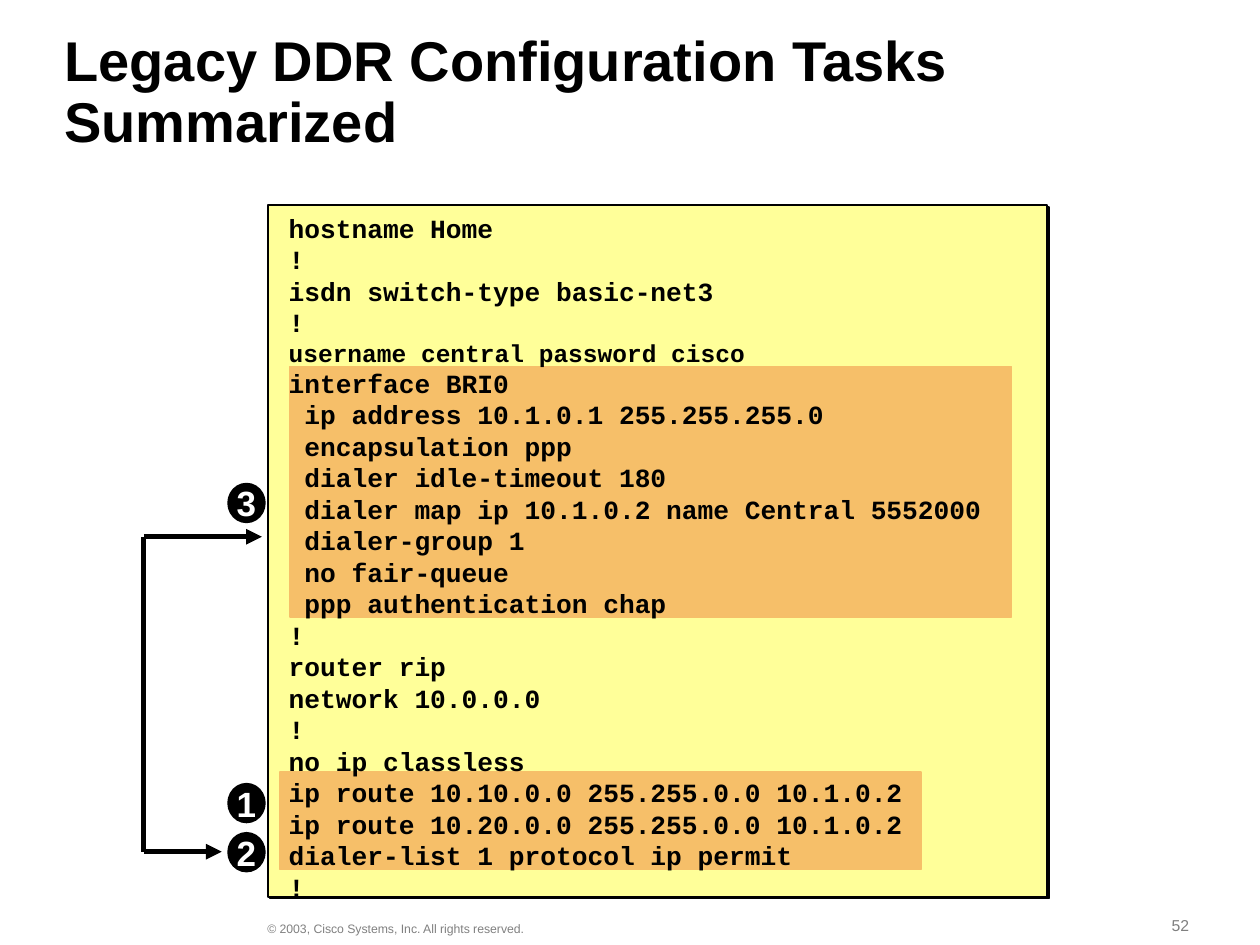
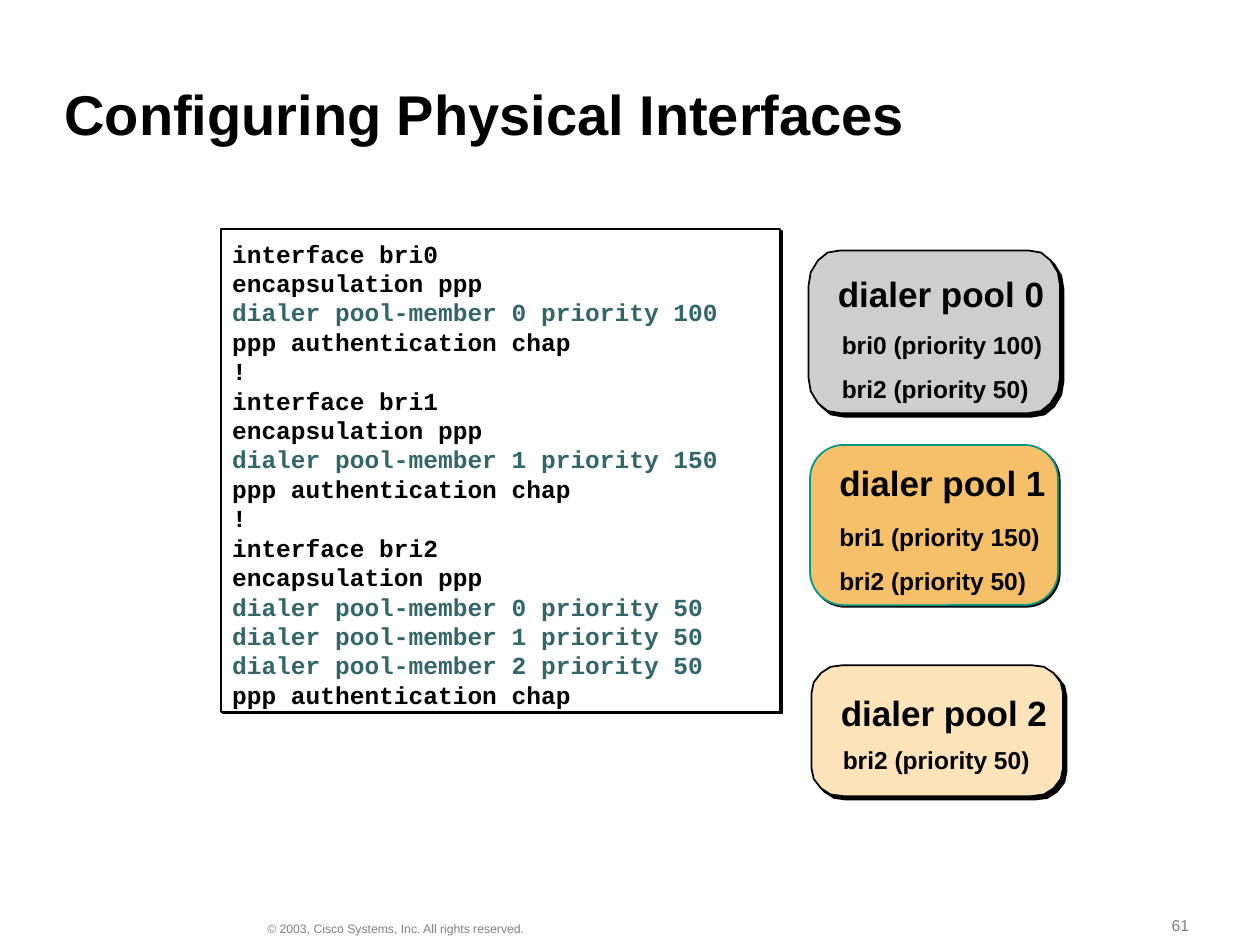
from dataclasses import dataclass

from lxml import etree
from pptx import Presentation
from pptx import util as u
from pptx.dml.color import RGBColor
from pptx.enum import shapes, text
from pptx.oxml.ns import qn

Cm, Pt = u.Cm, u.Pt


@dataclass(frozen=True)
class Theme:
    black: str = "000000"
    white: str = "FFFFFF"
    grey: str = "808080"
    teal: str = "336666"
    teal_line: str = "009688"
    yellow: str = "FFFF99"
    orange: str = "F6BF69"
    silver: str = "CECECE"
    cream: str = "FDE3BA"
    sans: str = "Arial"
    mono: str = "Courier New"
    title: int = 32
    heading: int = 20
    config: int = 15
    body: int = 14
    number: int = 9
    legal: int = 7


T = Theme()
TOP, MIDDLE, BOTTOM = (text.MSO_ANCHOR.TOP, text.MSO_ANCHOR.MIDDLE,
                       text.MSO_ANCHOR.BOTTOM)


def write(sp, lines, size, color=T.black, font=T.sans, bold=True, anchor=TOP,
          insets=(0.23, 0.13), align=text.PP_ALIGN.LEFT, pitch=1.2):
    """Fill a shape with lines; a line is a string or (string, size, color)."""
    tf = sp.text_frame
    tf.word_wrap = True
    tf.vertical_anchor = anchor
    tf.margin_left = tf.margin_right = Cm(insets[0])
    tf.margin_top = tf.margin_bottom = Cm(insets[1])
    for i, line in enumerate(lines):
        words, pts, rgb = (line, size, color) if isinstance(line, str) else line
        p = tf.paragraphs[0] if i == 0 else tf.add_paragraph()
        p.alignment = align
        p.line_spacing = Pt(round(pts * pitch, 1))
        r = p.add_run()
        r.text = words
        r.font.name, r.font.size, r.font.bold = font, Pt(pts), bold
        r.font.color.rgb = RGBColor.from_string(rgb)


def paint(sp, fill, line, shadow=0):
    """Set fill and outline, and a hard shadow at the given distance in points."""
    sp.fill.solid()
    sp.fill.fore_color.rgb = RGBColor.from_string(fill)
    sp.line.color.rgb = RGBColor.from_string(line)
    sp.line.width = Pt(1)
    sp.shadow.inherit = False
    if shadow:
        effects = sp._element.spPr.find(qn("a:effectLst"))
        outer = etree.SubElement(effects, qn("a:outerShdw"), dist=str(int(Pt(shadow))),
                                 dir="2700000", algn="ctr", rotWithShape="0")
        etree.SubElement(outer, qn("a:srgbClr"), val=T.black)


prs = Presentation()
prs.slide_width, prs.slide_height = Cm(25.4), Cm(19.05)

# Title, page number and copyright line
slides = []
for title, page, anchor in [
    ("Legacy DDR Configuration Tasks Summarized", "52", MIDDLE),
    ("Configuring Physical Interfaces", "61", BOTTOM),
]:
    s = prs.slides.add_slide(prs.slide_layouts[6])
    slides.append(s)
    tb = s.shapes.add_textbox(Cm(1.07), Cm(0.71), Cm(21.18), Cm(2.34))
    write(tb, [title], T.title, anchor=anchor, insets=(0.23, 0.1), pitch=1.08)
    for x, y, w, h, words, size in [
        (23.39, 18.34, 1.91, 0.61, page, T.number),
        (5.16, 18.44, 6.5, 0.53, "© 2003, Cisco Systems, Inc. All rights reserved.",
         T.legal),
    ]:
        tb = s.shapes.add_textbox(Cm(x), Cm(y), Cm(w), Cm(h))
        write(tb, [words], size, T.grey, bold=False, anchor=BOTTOM, insets=(0.23, 0.1))

# Slide 1: router configuration with the numbered steps
s = slides[0]
for x, y, w, h, fill, line, shadow in [
    (5.41, 4.14, 15.7, 13.94, T.yellow, T.black, 1.4),
    (5.84, 7.39, 14.55, 5.05, T.orange, T.orange, 0),
    (5.64, 15.57, 12.93, 1.96, T.orange, T.orange, 0),
]:
    sp = s.shapes.add_shape(shapes.MSO_SHAPE.RECTANGLE, Cm(x), Cm(y), Cm(w), Cm(h))
    paint(sp, fill, line, shadow)

for number, y in [("1", 15.8), ("3", 9.75), ("2", 16.79)]:
    sp = s.shapes.add_shape(shapes.MSO_SHAPE.OVAL, Cm(4.6), Cm(y), Cm(0.74), Cm(0.78))
    paint(sp, T.black, T.black)
    write(sp, [number], T.heading, T.white, anchor=MIDDLE, insets=(0, 0),
          align=text.PP_ALIGN.CENTER)

config = [
    "hostname Home",
    "!",
    "isdn switch-type basic-net3",
    "!",
    ("username central password cisco", T.body, T.black),
    "interface BRI0",
    " ip address 10.1.0.1 255.255.255.0",
    " encapsulation ppp",
    " dialer idle-timeout 180",
    " dialer map ip 10.1.0.2 name Central 5552000",
    " dialer-group 1",
    " no fair-queue",
    " ppp authentication chap",
    "!",
    "router rip",
    "network 10.0.0.0",
    "!",
    "no ip classless",
    "ip route 10.10.0.0 255.255.0.0 10.1.0.2",
    "ip route 10.20.0.0 255.255.0.0 10.1.0.2",
    "dialer-list 1 protocol ip permit",
    "!",
]
tb = s.shapes.add_textbox(Cm(5.54), Cm(4.14), Cm(18.8), Cm(14.2))
write(tb, config, T.config, font=T.mono, insets=(0.28, 0.13))

left, top, bottom = 2.9, 10.82, 17.17
for x1, y1, x2, y2, arrow in [
    (left, bottom, 4.47, bottom, True),
    (left, bottom, left, top, False),
    (left, top, 5.28, top, True),
]:
    cn = s.shapes.add_connector(shapes.MSO_CONNECTOR.STRAIGHT,
                                Cm(x1), Cm(y1), Cm(x2), Cm(y2))
    cn.line.color.rgb = RGBColor.from_string(T.black)
    cn.line.width = Pt(3)
    if arrow:
        etree.SubElement(cn.line._get_or_add_ln(), qn("a:tailEnd"), type="triangle")
    etree.SubElement(cn._element.spPr, qn("a:effectLst"))

# Slide 2: interface configuration and the resulting dialer pools
s = slides[1]
interfaces = [("bri0", ["0 priority 100"]), ("bri1", ["1 priority 150"]),
              ("bri2", ["0 priority 50", "1 priority 50", "2 priority 50"])]
config = []
for name, members in interfaces:
    if config:
        config.append("!")
    config += [f"interface {name}", "encapsulation ppp"]
    config += [(f"dialer pool-member {m}", T.body, T.teal) for m in members]
    config.append("ppp authentication chap")
panel = s.shapes.add_shape(shapes.MSO_SHAPE.RECTANGLE,
                           Cm(4.45), Cm(4.62), Cm(11.28), Cm(9.73))
paint(panel, T.white, T.black, 1.4)
write(panel, config, T.body, font=T.mono, insets=(0.23, 0.19))

# Corner points as shares of the corner width and height
corner = [(0, 1), (0.07, 0.62), (0.3, 0.28), (0.6, 0.06), (1, 0)]
corner_w = 0.64
member_step = 0.89
for (x, y, w, h, corner_h, fill), heading_y, (member_x, member_y), name, members in [
    ((16.36, 13.41, 5.07, 2.64, 0.56, T.cream), 13.82, (16.76, 14.88),
     "dialer pool 2", ["bri2 (priority 50)"]),
    ((16.3, 5.05, 5.07, 3.28, 0.71, T.silver), 5.36, (16.74, 6.53),
     "dialer pool 0", ["bri0 (priority 100)", "bri2 (priority 50)"]),
    ((16.33, 8.97, 5, 3.23, 0, T.orange), 9.17, (16.69, 10.39),
     "dialer pool 1", ["bri1 (priority 150)", "bri2 (priority 50)"]),
]:
    if corner_h:
        upper = [(x + a * corner_w, y + b * corner_h) for a, b in corner]
        upper += [(2 * x + w - px, py) for px, py in reversed(upper)]
        outline = upper + [(px, 2 * y + h - py) for px, py in reversed(upper)]
        points = [(Cm(px), Cm(py)) for px, py in outline]
        fb = s.shapes.build_freeform(*points[0])
        fb.add_line_segments(points[1:], close=True)
        sp = fb.convert_to_shape()
        paint(sp, fill, T.black, 2.8)
    else:
        sp = s.shapes.add_shape(shapes.MSO_SHAPE.ROUNDED_RECTANGLE,
                                Cm(x), Cm(y), Cm(w), Cm(h))
        sp.adjustments[0] = 0.21
        paint(sp, fill, T.teal_line, 1.4)
    labels = [(x + 0.36, heading_y, 1.07, name, T.heading)]
    labels += [(member_x, member_y + i * member_step, 0.81, member, T.body)
               for i, member in enumerate(members)]
    for lx, ly, lh, words, size in labels:
        tb = s.shapes.add_textbox(Cm(lx), Cm(ly), Cm(5), Cm(lh))
        write(tb, [words], size)

prs.save("out.pptx")
